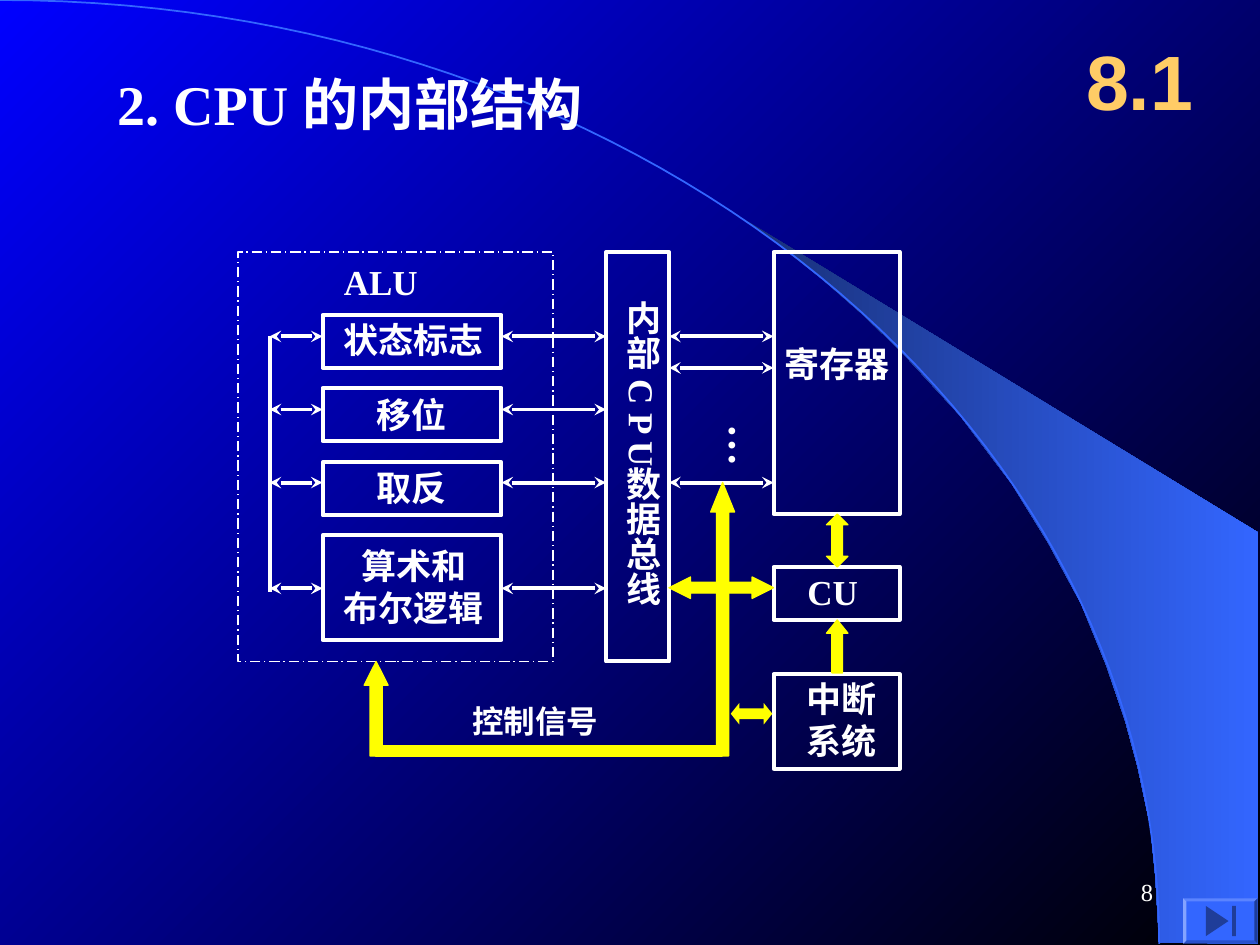
from dataclasses import dataclass

from lxml import etree
from pptx import Presentation
from pptx import util as u
from pptx.dml.color import RGBColor
from pptx.enum import dml, shapes, text
from pptx.oxml import ns

COLORS = {
    "white": "FFFFFF", "yellow": "FFFF00", "gold": "FFCC66", "blue": "0000FF",
    "black": "000000", "swoosh": "3366FF", "swoosh_dark": "182F76", "glyph": "1F3D99",
}
SERIF = "Times New Roman"
PRESET = shapes.MSO_SHAPE


@dataclass
class Box:
    left: float
    top: float
    width: float
    height: float

    def lengths(self) -> list:
        return [u.Inches(v) for v in (self.left, self.top, self.width, self.height)]


@dataclass
class Label:
    box: Box
    lines: tuple
    size: float = 20
    color: str = "white"
    font: str = SERIF
    bold: bool = True
    align: text.PP_ALIGN = text.PP_ALIGN.LEFT
    anchor: text.MSO_ANCHOR = text.MSO_ANCHOR.TOP
    wrap: bool = False
    vertical: bool = False


@dataclass
class BlockArrow:
    preset: shapes.MSO_SHAPE
    box: Box
    head: float
    outlined: bool = True


def rgb(name: str) -> RGBColor:
    return RGBColor.from_string(COLORS[name])


def fill_gradient(fill, start: str, end: str, angle: float) -> None:
    fill.gradient()
    fill.gradient_angle = angle
    for stop, position, name in zip(fill.gradient_stops, (0, 1), (start, end)):
        stop.position = position
        stop.color.rgb = rgb(name)


def style(shape, fill: str = "", line: str = "", width: float = 0.75) -> None:
    shape.shadow.inherit = False
    if fill:
        shape.fill.solid()
        shape.fill.fore_color.rgb = rgb(fill)
    else:
        shape.fill.background()
    if line:
        shape.line.color.rgb = rgb(line)
        shape.line.width = u.Pt(width)
    else:
        shape.line.fill.background()


def add_preset(slide, preset, box: Box, fill="", line="", width=0.75):
    shape = slide.shapes.add_shape(preset, *box.lengths())
    style(shape, fill, line, width)
    return shape


def add_path(slide, points: list, closed: bool = True):
    corners = [(u.Inches(x), u.Inches(y)) for x, y in points]
    builder = slide.shapes.build_freeform(*corners[0])
    builder.add_line_segments(corners[1:], close=closed)
    return builder.convert_to_shape()


def write_text(shape, label: Label) -> None:
    frame = shape.text_frame
    frame.word_wrap = label.wrap
    frame.auto_size = text.MSO_AUTO_SIZE.NONE
    frame.vertical_anchor = label.anchor
    if label.vertical:
        frame.margin_left = frame.margin_right = u.Inches(0.05)
        frame.margin_top = frame.margin_bottom = u.Inches(0.1)
        frame._txBody.bodyPr.set("vert", "eaVert")
    frame.text = "\n".join(label.lines)
    for paragraph in frame.paragraphs:
        paragraph.alignment = label.align
        paragraph.font.name = label.font
        paragraph.font.size = u.Pt(label.size)
        paragraph.font.bold = label.bold
        paragraph.font.color.rgb = rgb(label.color)


def add_label(slide, label: Label) -> None:
    write_text(slide.shapes.add_textbox(*label.box.lengths()), label)


def add_line(slide, x1: float, y1: float, x2: float, y2: float, arrows: bool = True) -> None:
    ends = [u.Inches(v) for v in (x1, y1, x2, y2)]
    link = slide.shapes.add_connector(shapes.MSO_CONNECTOR.STRAIGHT, *ends)
    link.line.color.rgb = rgb("white")
    link.line.width = u.Pt(2.25)
    if arrows:
        outline = link.line._get_or_add_ln()
        for end in ("a:headEnd", "a:tailEnd"):
            etree.SubElement(outline, ns.qn(end), type="stealth")
    etree.SubElement(link._element.spPr, ns.qn("a:effectLst"))


def arc_point(t: float) -> tuple:
    s = 1 - t
    x = 3 * s * s * t * 5.08 + 3 * s * t * t * 9.2 + t ** 3 * 9.2
    y = 3 * s * t * t * 3.35 + t ** 3 * 7.49
    return x, y


def draw_backdrop(slide) -> None:
    fill_gradient(slide.background.fill, "blue", "black", 315)
    beam = add_path(slide, [
        (9.2, 7.48), (9.99, 7.49), (9.99, 4.23), (5.89, 1.73), (6.24, 1.99), (6.53, 2.22),
        (6.85, 2.5), (7.16, 2.8), (7.62, 3.3), (8.03, 3.84), (8.32, 4.31), (8.58, 4.79),
        (8.78, 5.28), (8.93, 5.72), (9.03, 6.09), (9.13, 6.56), (9.17, 6.96)])
    style(beam)
    fill_gradient(beam.fill, "swoosh_dark", "swoosh", 0)
    arc = add_path(slide, [arc_point(i / 60) for i in range(61)], closed=False)
    style(arc, line="swoosh", width=1)


def draw_button(slide) -> None:
    button = add_preset(slide, PRESET.BEVEL, Box(9.39, 7.13, 0.59, 0.36), "swoosh")
    button.adjustments[0] = 0.07
    style(add_path(slide, [(9.57, 7.19), (9.75, 7.31), (9.57, 7.43)]), "glyph")
    add_preset(slide, PRESET.RECTANGLE, Box(9.78, 7.19, 0.03, 0.24), "glyph")


def draw_diagram(slide) -> None:
    units = [Box(2.56, top, 1.42, 0.42) for top in (2.5, 3.08, 3.67)]
    units.append(Box(2.56, 4.25, 1.42, 0.83))
    bus = Box(4.81, 2, 0.5, 3.25)
    right_column = [Box(6.14, top, 1, height)
                    for top, height in ((2, 2.08), (4.5, 0.42), (5.35, 0.75))]
    for box in (*units, bus, *right_column):
        add_preset(slide, PRESET.RECTANGLE, box, line="white", width=2.25)
    alu = add_preset(slide, PRESET.RECTANGLE, Box(1.89, 2, 2.5, 3.25), line="white")
    alu.line.dash_style = dml.MSO_LINE.LONG_DASH_DOT

    unit_rows = (2.67, 3.25, 3.83, 4.67)
    register_rows = (2.67, 2.92, 3.83)
    for start, end, rows in ((2.14, 2.56, unit_rows), (3.98, 4.81, unit_rows),
                             (5.31, 6.14, register_rows)):
        for y in rows:
            add_line(slide, start, y, end, y)
    add_line(slide, 2.14, 2.67, 2.14, 4.7, arrows=False)

    for arrow in (
        BlockArrow(PRESET.LEFT_RIGHT_ARROW, Box(5.31, 4.58, 0.83, 0.17), 1),
        BlockArrow(PRESET.UP_ARROW, Box(6.56, 4.92, 0.17, 0.42), 0.62),
        BlockArrow(PRESET.UP_ARROW, Box(5.64, 3.83, 0.19, 2.17), 1.23),
        BlockArrow(PRESET.UP_ARROW, Box(2.89, 5.25, 0.19, 0.75), 0.99),
        BlockArrow(PRESET.LEFT_RIGHT_ARROW, Box(5.8, 5.58, 0.33, 0.17), 0.4, False),
        BlockArrow(PRESET.UP_DOWN_ARROW, Box(6.56, 4.08, 0.17, 0.42), 0.5),
    ):
        outline = "yellow" if arrow.outlined else ""
        block = add_preset(slide, arrow.preset, arrow.box, "yellow", outline)
        block.adjustments[0] = 0.5
        block.adjustments[1] = arrow.head
    add_preset(slide, PRESET.RECTANGLE, Box(2.98, 5.92, 2.75, 0.08), "yellow", "yellow")

    for label in (
        Label(Box(2.63, 2.02, 0.79, 0.44), ("ALU",)),
        Label(Box(2.63, 2.48, 1.31, 0.44), ("状态标志",)),
        Label(Box(2.89, 3.07, 0.75, 0.44), ("移位",)),
        Label(Box(2.89, 3.65, 0.75, 0.44), ("取反",)),
        Label(Box(2.63, 4.27, 1.31, 0.77), ("算术和", "布尔逻辑"), align=text.PP_ALIGN.CENTER),
        Label(Box(4.79, 2.29, 0.53, 2.59), ("内部 C P U数据总线",), vertical=True),
        Label(Box(6.13, 2.67, 1.03, 0.44), ("寄存器",)),
        Label(Box(6.31, 4.48, 0.6, 0.44), ("CU",)),
        Label(Box(6.3, 5.33, 0.75, 0.77), ("中断", "系统")),
        Label(Box(3.65, 5.52, 1.2, 0.4), ("控制信号",), size=18),
        Label(Box(5.57, 3.27, 0.6, 0.75), ("…",), size=24, wrap=True, vertical=True),
    ):
        add_label(slide, label)


def main() -> None:
    deck = Presentation()
    deck.slide_width, deck.slide_height = u.Inches(10), u.Inches(7.5)
    slide = deck.slides.add_slide(deck.slide_layouts[5])
    draw_backdrop(slide)

    heading = Label(Box(0.83, 0.5, 5.08, 0.64), ("2. CPU 的内部结构",), size=32, wrap=True)
    title = slide.shapes.title
    title.left, title.top, title.width, title.height = heading.box.lengths()
    write_text(title, heading)
    slide.shapes._spTree.append(title._element)

    middle = text.MSO_ANCHOR.MIDDLE
    add_label(slide, Label(Box(8.42, 0.17, 1.25, 0.92), ("8.1",), 44, "gold", "Arial",
                           align=text.PP_ALIGN.CENTER, anchor=middle, wrap=True))
    draw_button(slide)
    draw_diagram(slide)
    add_label(slide, Label(Box(7.17, 6.83, 2.08, 0.5), ("8",), 14, bold=False,
                           align=text.PP_ALIGN.RIGHT, anchor=middle, wrap=True))
    deck.save("out.pptx")


if __name__ == "__main__":
    main()
